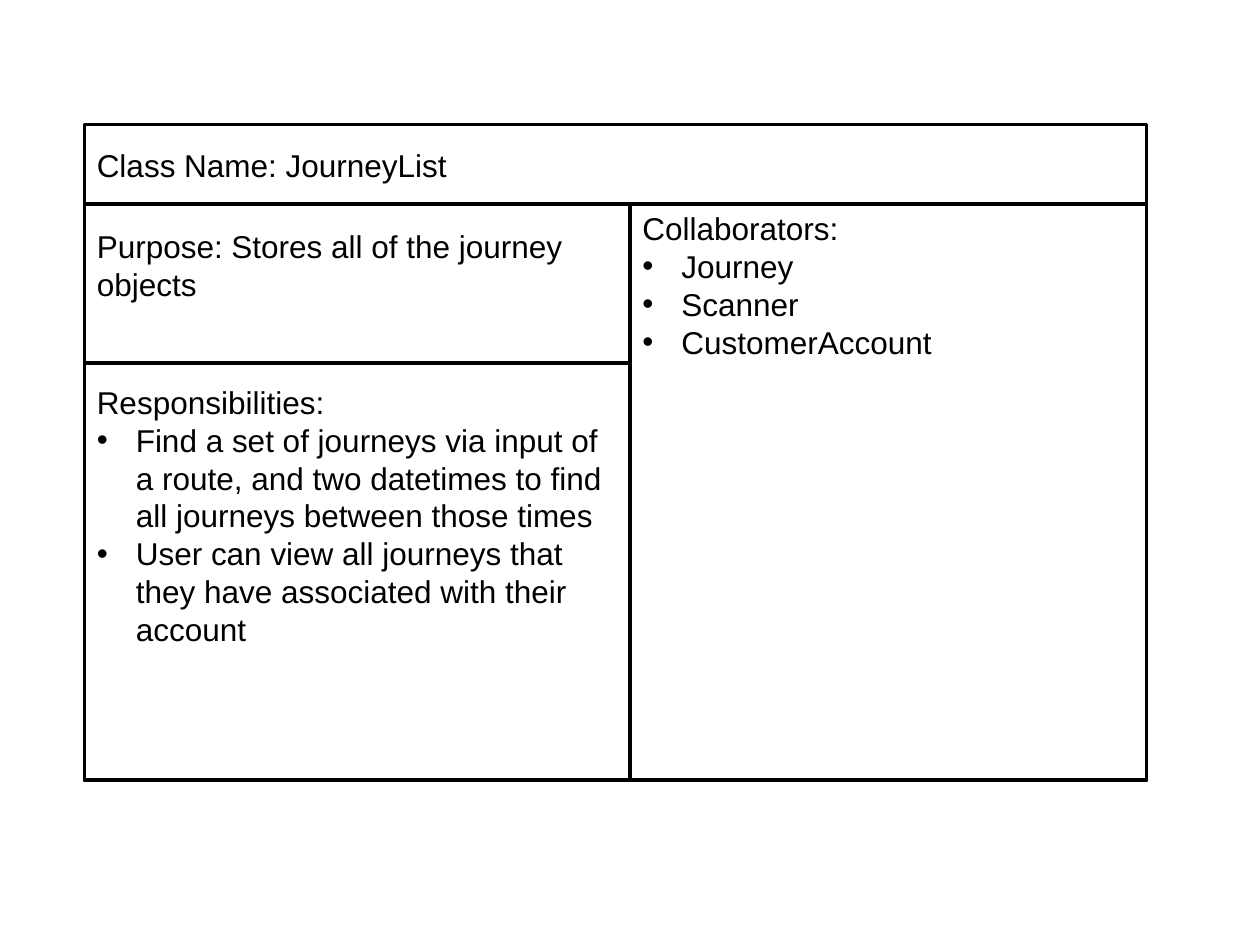
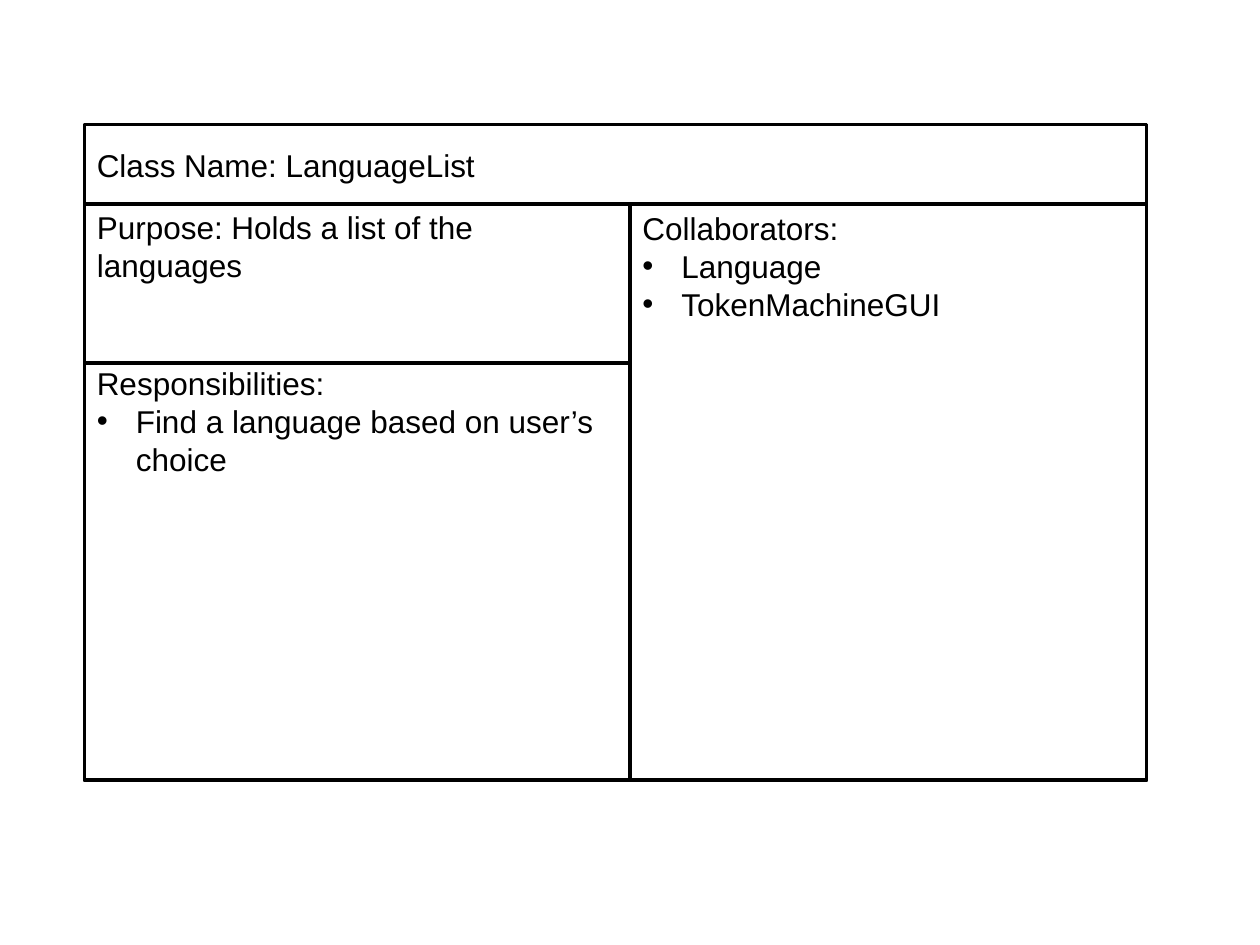
from dataclasses import dataclass

from lxml.etree import SubElement
from pptx import Presentation
from pptx.dml.color import RGBColor
from pptx.enum.shapes import MSO_SHAPE as Preset
from pptx.enum.text import MSO_ANCHOR as Anchor, PP_ALIGN as Align
from pptx.oxml.ns import qn
from pptx.util import Emu, Pt

SCALE = 9144
COLOURS = {"paper": "FFFFFF", "ink": "000000"}
INDENT = 31
FRAME_FORMAT = {
    "word_wrap": True,
    "vertical_anchor": Anchor.TOP,
    "margin_left": Emu(10 * SCALE),
    "margin_right": Emu(10 * SCALE),
    "margin_bottom": Emu(0),
}
PARAGRAPH_FORMAT = {"alignment": Align.LEFT, "line_spacing": Pt(21.6)}
FONT_FORMAT = {"name": "Arial", "size": Pt(18)}


@dataclass(frozen=True)
class Box:
    """A rectangle in px."""
    left: int
    top: int
    width: int
    height: int


@dataclass(frozen=True)
class Panel:
    """The heading and bullets of one box, with its space above."""
    heading: str
    bullets: tuple[str, ...] = ()
    top_inset: int = 4


@dataclass(frozen=True)
class ClassCard:
    """The four panels of one class card."""
    class_name: Panel
    purpose: Panel
    responsibilities: Panel
    collaborators: Panel


LEFT, TOP, WIDTH, HEIGHT = 67, 99, 843, 520
NAME_HEIGHT, PURPOSE_HEIGHT, LEFT_WIDTH = 63, 126, 433
BODY_TOP = TOP + NAME_HEIGHT
BODY_HEIGHT = HEIGHT - NAME_HEIGHT
CARD_BOX = Box(LEFT, TOP, WIDTH, HEIGHT)
PANEL_BOXES = {
    "purpose": Box(LEFT, BODY_TOP, LEFT_WIDTH, PURPOSE_HEIGHT),
    "responsibilities": Box(LEFT, BODY_TOP + PURPOSE_HEIGHT, LEFT_WIDTH,
                            BODY_HEIGHT - PURPOSE_HEIGHT),
    "collaborators": Box(LEFT + LEFT_WIDTH, BODY_TOP, WIDTH - LEFT_WIDTH, BODY_HEIGHT),
    "class_name": Box(LEFT, TOP, WIDTH, NAME_HEIGHT),
}

CARDS = (
    ClassCard(
        Panel("Class Name: JourneyList", top_inset=17),
        Panel("Purpose: Stores all of the journey objects", top_inset=18),
        Panel("Responsibilities:", (
            "Find a set of journeys via input of a route, and two datetimes "
            "to find all journeys between those times",
            "User can view all journeys that they have associated with their account",
        ), top_inset=16),
        Panel("Collaborators:", ("Journey", "Scanner", "CustomerAccount")),
    ),
    ClassCard(
        Panel("Class Name: LanguageList", top_inset=17),
        Panel("Purpose: Holds a list of the languages", top_inset=3),
        Panel("Responsibilities:", ("Find a language based on user’s choice",), top_inset=1),
        Panel("Collaborators:", ("Language", "TokenMachineGUI")),
    ),
)


def px(length: int) -> Emu:
    """Turn px into EMU."""
    return Emu(length * SCALE)


def colour(name: str) -> RGBColor:
    """Look up a named colour."""
    return RGBColor.from_string(COLOURS[name])


def apply_format(target: object, values: dict) -> None:
    """Set each attribute of a format on its target."""
    for name, value in values.items():
        setattr(target, name, value)


def draw_box(slide, box: Box):
    """Draw an outlined rectangle."""
    shape = slide.shapes.add_shape(
        Preset.RECTANGLE, px(box.left), px(box.top), px(box.width), px(box.height))
    shape.shadow.inherit = False
    shape.fill.solid()
    shape.fill.fore_color.rgb = colour("paper")
    shape.line.color.rgb = colour("ink")
    shape.line.width = Pt(2)
    return shape


def add_bullet(paragraph) -> None:
    """Give a paragraph a hanging round bullet."""
    properties = paragraph._p.get_or_add_pPr()
    properties.set("marL", str(px(INDENT)))
    properties.set("indent", str(px(-INDENT)))
    SubElement(properties, qn("a:buFont")).set("typeface", "Arial")
    SubElement(properties, qn("a:buChar")).set("char", "•")


def draw_panel(slide, box: Box, panel: Panel) -> None:
    """Draw a box with its heading and bullets."""
    text_frame = draw_box(slide, box).text_frame
    apply_format(text_frame, FRAME_FORMAT | {"margin_top": px(panel.top_inset)})
    for index, text in enumerate((panel.heading, *panel.bullets)):
        paragraph = text_frame.add_paragraph() if index else text_frame.paragraphs[0]
        if index:
            add_bullet(paragraph)
        paragraph.text = text
        apply_format(paragraph, PARAGRAPH_FORMAT)
        apply_format(paragraph.runs[0].font, FONT_FORMAT)
        paragraph.runs[0].font.color.rgb = colour("ink")


def draw_card(slide, card: ClassCard) -> None:
    """Draw the card outline and its panels."""
    draw_box(slide, CARD_BOX)
    for name, box in PANEL_BOXES.items():
        draw_panel(slide, box, getattr(card, name))


def main() -> None:
    """Build one slide for each class card."""
    presentation = Presentation()
    presentation.slide_width, presentation.slide_height = px(1000), px(750)
    for card in CARDS:
        draw_card(presentation.slides.add_slide(presentation.slide_layouts[6]), card)
    presentation.save("out.pptx")


if __name__ == "__main__":
    main()
